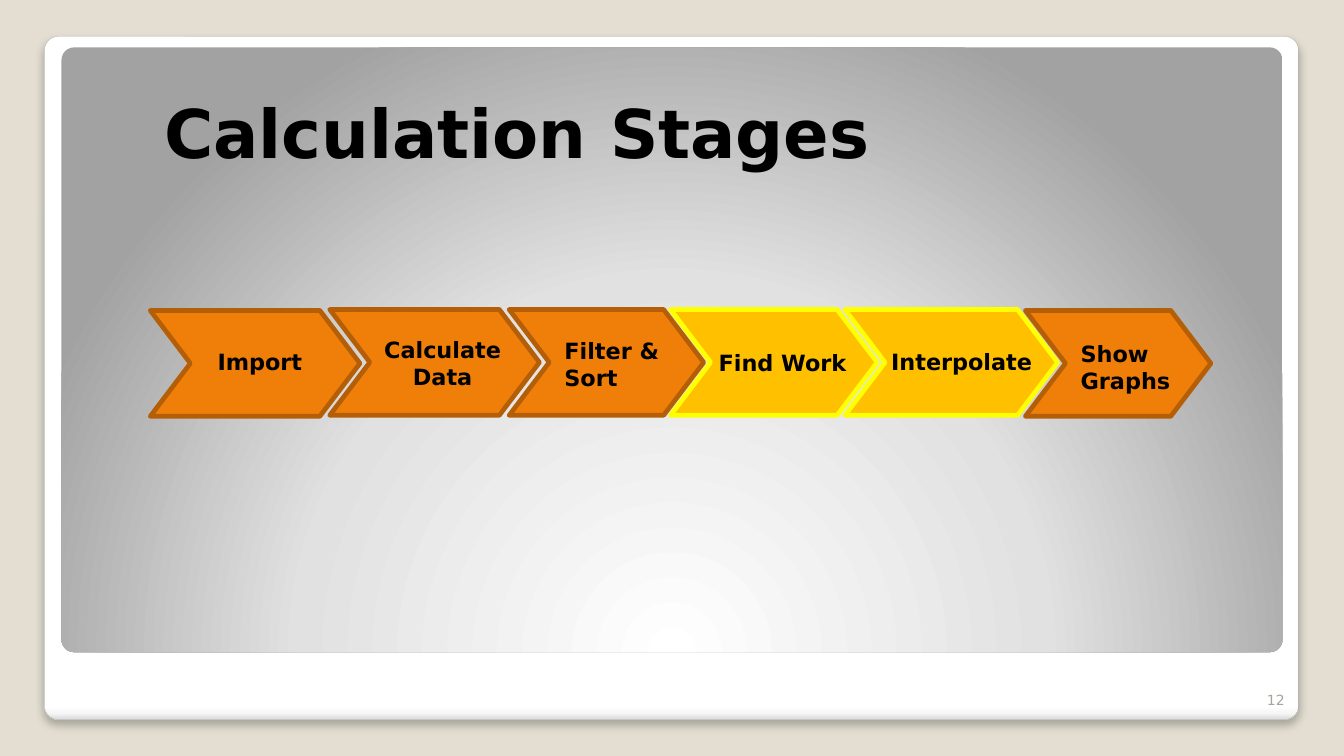
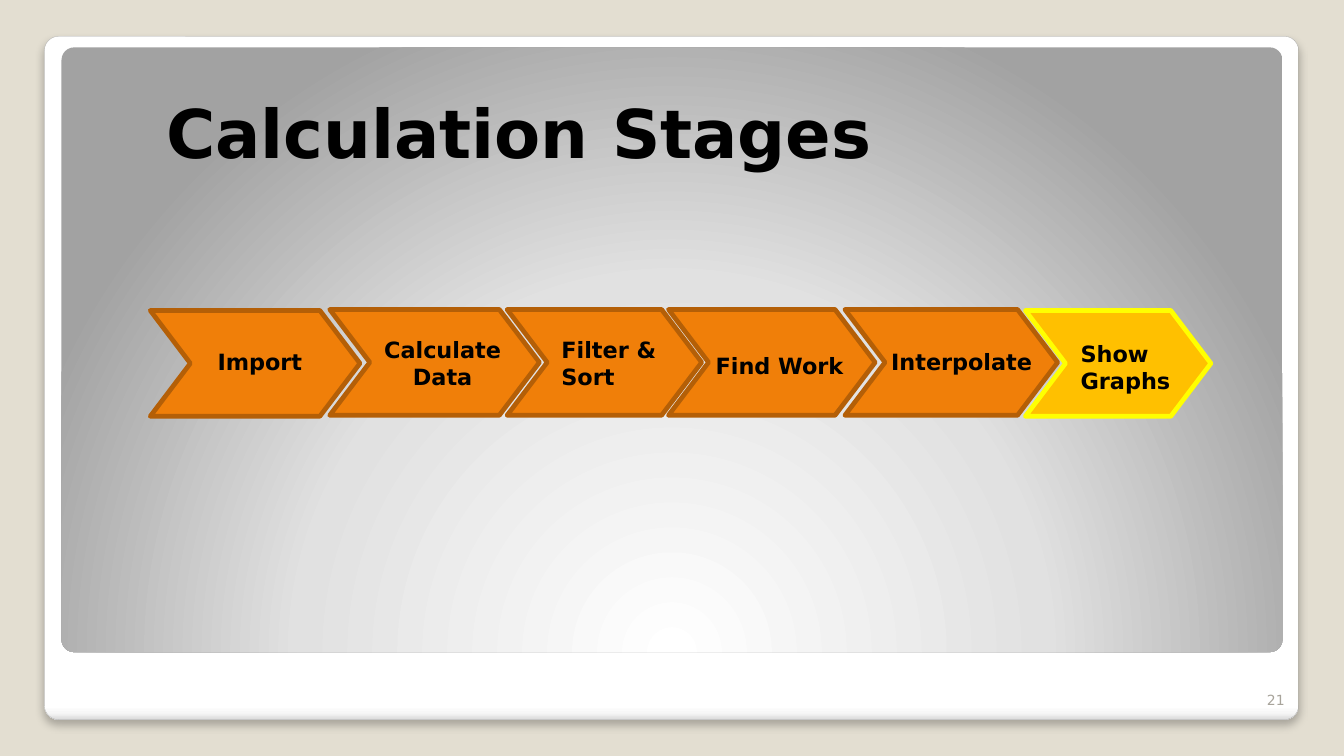
from dataclasses import dataclass, replace

from pptx import Presentation
from pptx.dml.color import RGBColor
from pptx.enum.shapes import MSO_SHAPE
from pptx.enum.text import MSO_ANCHOR, MSO_AUTO_SIZE, PP_ALIGN
from pptx.oxml import parse_xml
from pptx.oxml.ns import nsdecls, qn
from pptx.util import Inches, Pt

ROUNDED = MSO_SHAPE.ROUNDED_RECTANGLE
CHEVRON = MSO_SHAPE.CHEVRON
LEFT, CENTER, RIGHT = PP_ALIGN.LEFT, PP_ALIGN.CENTER, PP_ALIGN.RIGHT
TOP, BOTTOM = MSO_ANCHOR.TOP, MSO_ANCHOR.BOTTOM
FIT_TEXT = MSO_AUTO_SIZE.SHAPE_TO_FIT_TEXT
NO_FIT = MSO_AUTO_SIZE.NONE

FONT = "DejaVu Sans"
BACKGROUND = "E3DED1"
BLACK = "000000"
WHITE = "FFFFFF"
NUMBER_GREY = "A8A49B"
CARD_EDGE = "A4A4A4"
NORMAL = ("F07F09", "B45F07")
ACTIVE = ("FFC000", "FFFF00")

CARD_STOPS = [(0, WHITE), (98, WHITE), (99, "F7F7F7"), (100, "DADADA")]
CARD_SHADE = '<a:lin ang="5400000" scaled="0"/>'
PANEL_STOPS = [(0, WHITE), (55, "E1E1E1"), (100, "A2A2A2")]
PANEL_SHADE = (
    '<a:path path="circle">'
    '<a:fillToRect l="50000" t="175000" r="50000" b="-75000"/></a:path>'
)
CARD_SHADOW = (
    '<a:outerShdw {} blurRad="76200" dist="50800" dir="5400000" rotWithShape="0">'
    '<a:srgbClr val="000000"><a:alpha val="25000"/></a:srgbClr></a:outerShdw>'
)
TEXT_OUTLINE = (
    '<a:ln {} w="9525"><a:solidFill><a:srgbClr val="{}"/></a:solidFill></a:ln>'
)

CHEVRON_HEIGHT = 1.05


@dataclass
class Stage:
    text: str
    left: float
    top: float
    width: float
    label: tuple
    align: PP_ALIGN = LEFT


STAGES = [
    Stage("Find Work", 6.65, 3.07, 2.05, (7.03, 3.41, 1.89, 0.37)),
    Stage("Interpolate", 8.38, 3.07, 2.11, (8.74, 3.4, 1.89, 0.37)),
    Stage("Show Graphs", 10.17, 3.08, 1.84, (10.62, 3.33, 1.33, 0.64)),
    Stage("Import", 1.49, 3.08, 2.08, (2.06, 3.4, 1.34, 0.37)),
    Stage("Calculate\nData", 3.27, 3.07, 2.08, (3.5, 3.29, 1.78, 0.64), CENTER),
    Stage("Filter & Sort", 5.05, 3.07, 1.93, (5.5, 3.3, 1.23, 0.64)),
]
LATER_PLACES = {
    "Find Work": {"left": 6.63, "label": (7, 3.44, 1.89, 0.37)},
    "Filter & Sort": {"left": 5.03, "label": (5.47, 3.29, 1.23, 0.64)},
}


def color(value):
    return RGBColor.from_string(value)


def add_text(slide, text, box, size=16, fill=BLACK, bold=True, align=LEFT,
             anchor=TOP, fit=FIT_TEXT, outline=None):
    shape = slide.shapes.add_textbox(*map(Inches, box))
    frame = shape.text_frame
    frame.word_wrap = True
    frame.auto_size = fit
    frame.vertical_anchor = anchor
    frame.text = text
    for paragraph in frame.paragraphs:
        paragraph.alignment = align
        for run in paragraph.runs:
            run.font.name = FONT
            run.font.size = Pt(size)
            run.font.bold = bold
            run.font.color.rgb = color(fill)
            if outline:
                properties = run._r.get_or_add_rPr()
                properties.insert(
                    0, parse_xml(TEXT_OUTLINE.format(nsdecls("a"), outline)))


def add_shape(slide, kind, box, adjustment, fill=None, line=None, line_width=0):
    shape = slide.shapes.add_shape(kind, *map(Inches, box))
    shape.adjustments[0] = adjustment
    shape.shadow.inherit = False
    if fill:
        shape.fill.solid()
        shape.fill.fore_color.rgb = color(fill)
    if line:
        shape.line.color.rgb = color(line)
        shape.line.width = Pt(line_width)
    else:
        shape.line.fill.background()
    return shape


def set_gradient(shape, stops, shade):
    shape.fill.background()
    stop_list = "".join(
        f'<a:gs pos="{position * 1000}"><a:srgbClr val="{value}"/></a:gs>'
        for position, value in stops)
    gradient = parse_xml(
        f'<a:gradFill {nsdecls("a")} rotWithShape="1">'
        f"<a:gsLst>{stop_list}</a:gsLst>{shade}</a:gradFill>")
    properties = shape._element.spPr
    properties.replace(properties.find(qn("a:noFill")), gradient)


def add_frame(slide):
    card = add_shape(slide, ROUNDED, (0.44, 0.36, 12.44, 6.78), 0.021,
                     line=CARD_EDGE, line_width=0.16)
    set_gradient(card, CARD_STOPS, CARD_SHADE)
    effects = card._element.spPr.find(qn("a:effectLst"))
    effects.append(parse_xml(CARD_SHADOW.format(nsdecls("a"))))
    panel = add_shape(slide, ROUNDED, (0.61, 0.47, 12.11, 6), 0.021)
    set_gradient(panel, PANEL_STOPS, PANEL_SHADE)


def add_stages(slide, stages, active):
    for stage in stages:
        fill, line = ACTIVE if stage.text in active else NORMAL
        box = (stage.left, stage.top, stage.width, CHEVRON_HEIGHT)
        add_shape(slide, CHEVRON, box, 0.379, fill, line, 3.35)
    for stage in stages:
        add_text(slide, stage.text, stage.label, align=stage.align)


def add_stage_slide(presentation, number, title_left, stages, active):
    slide = presentation.slides.add_slide(presentation.slide_layouts[6])
    add_frame(slide)
    add_text(slide, "Calculation Stages", (title_left, 0.86, 7.6, 1.21),
             size=48, align=CENTER, outline=WHITE)
    add_stages(slide, stages, active)
    add_text(slide, number, (12.17, 6.68, 0.67, 0.4), size=10, fill=NUMBER_GREY,
             bold=False, align=RIGHT, anchor=BOTTOM, fit=NO_FIT)


def main():
    presentation = Presentation()
    presentation.slide_width = Inches(13.33)
    presentation.slide_height = Inches(7.5)
    background = presentation.slide_master.background.fill
    background.solid()
    background.fore_color.rgb = color(BACKGROUND)

    later_stages = [
        replace(stage, **LATER_PLACES.get(stage.text, {})) for stage in STAGES]
    add_stage_slide(presentation, "12", 1.33, STAGES, {"Find Work", "Interpolate"})
    add_stage_slide(presentation, "21", 1.35, later_stages, {"Show Graphs"})
    presentation.save("out.pptx")


if __name__ == "__main__":
    main()
